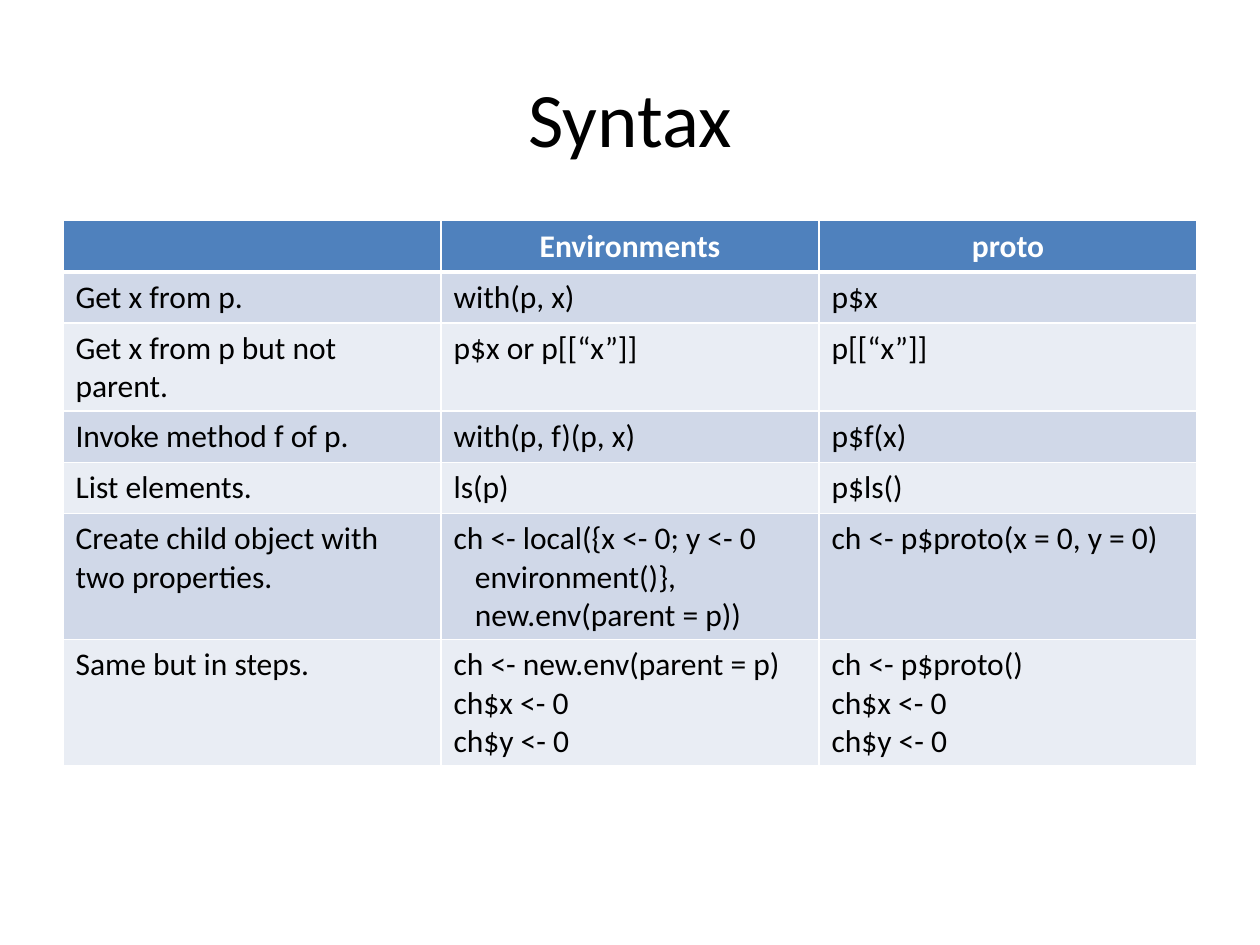
from lxml.etree import SubElement
from pptx import Presentation
from pptx.dml.color import RGBColor
from pptx.enum.text import MSO_ANCHOR, PP_ALIGN
from pptx.oxml.ns import qn
from pptx.util import Cm, Pt

# Content: one list of lines per cell
TITLE = "Syntax"
HEADER = [[""], ["Environments"], ["proto"]]
COMPARISON = [
    [["Get x from p."], ["with(p, x)"], ["p$x"]],
    [["Get x from p but not parent."], ["p$x or p[[“x”]]"], ["p[[“x”]]"]],
    [["Invoke method f of p."], ["with(p, f)(p, x)"], ["p$f(x)"]],
    [["List elements."], ["ls(p)"], ["p$ls()"]],
    [["Create child object with two properties."],
     ["ch <- local({x <- 0; y <- 0", "environment()},", "new.env(parent = p))"],
     ["ch <- p$proto(x = 0, y = 0)"]],
    [["Same but in steps."],
     ["ch <- new.env(parent = p)", "ch$x <- 0", "ch$y <- 0"],
     ["ch <- p$proto()", "ch$x <- 0", "ch$y <- 0"]],
]
CONTINUATIONS = {"environment()},", "new.env(parent = p))"}

FONT = "Calibri"
BLACK = RGBColor(0x00, 0x00, 0x00)
WHITE = RGBColor(0xFF, 0xFF, 0xFF)
HEADER_BLUE = RGBColor(0x4F, 0x81, 0xBD)
BANDS = [RGBColor(0xE9, 0xED, 0xF4), RGBColor(0xD0, 0xD8, 0xE8)]

LEFT, WIDTH = Cm(1.27), Cm(22.86)
ROW_HEIGHT = Cm(1.03)
THIN, THICK = Pt(1), Pt(3)


def style(paragraph, size, color, bold=False):
    for run in paragraph.runs:
        run.font.name = FONT
        run.font.size = Pt(size)
        run.font.bold = bold
        run.font.color.rgb = color


def set_borders(cell, top, bottom):
    properties = cell._tc.get_or_add_tcPr()
    for side, width in (("L", THIN), ("R", THIN), ("T", top), ("B", bottom)):
        line = SubElement(properties, qn(f"a:ln{side}"), w=str(width))
        fill = SubElement(line, qn("a:solidFill"))
        SubElement(fill, qn("a:srgbClr"), val=str(WHITE))


def fill_cell(cell, lines, row):
    is_header = row == 0
    set_borders(cell, THICK if row == 1 else THIN, THICK if is_header else THIN)
    cell.fill.solid()
    cell.fill.fore_color.rgb = HEADER_BLUE if is_header else BANDS[row % 2]
    cell.text_frame.text = "\n".join(lines)
    for paragraph in cell.text_frame.paragraphs:
        paragraph.alignment = PP_ALIGN.CENTER if is_header else PP_ALIGN.LEFT
        style(paragraph, 18, WHITE if is_header else BLACK, is_header)
        if paragraph.text in CONTINUATIONS:
            paragraph._p.get_or_add_pPr().set("marL", str(Cm(0.43)))


def main():
    prs = Presentation()
    prs.slide_width, prs.slide_height = Cm(25.4), Cm(19.05)
    slide = prs.slides.add_slide(prs.slide_layouts[6])

    # Title
    title = slide.shapes.add_textbox(LEFT, Cm(0.76), WIDTH, Cm(3.18)).text_frame
    title.word_wrap = True
    title.vertical_anchor = MSO_ANCHOR.MIDDLE
    title.text = TITLE
    title.paragraphs[0].alignment = PP_ALIGN.CENTER
    style(title.paragraphs[0], 44, BLACK)

    # Comparison table
    rows = [HEADER] + COMPARISON
    table = slide.shapes.add_table(
        len(rows), len(HEADER), LEFT, Cm(4.45), WIDTH, ROW_HEIGHT * len(rows)
    ).table
    for r, row in enumerate(rows):
        for c, lines in enumerate(row):
            fill_cell(table.cell(r, c), lines, r)

    prs.save("out.pptx")


if __name__ == "__main__":
    main()
